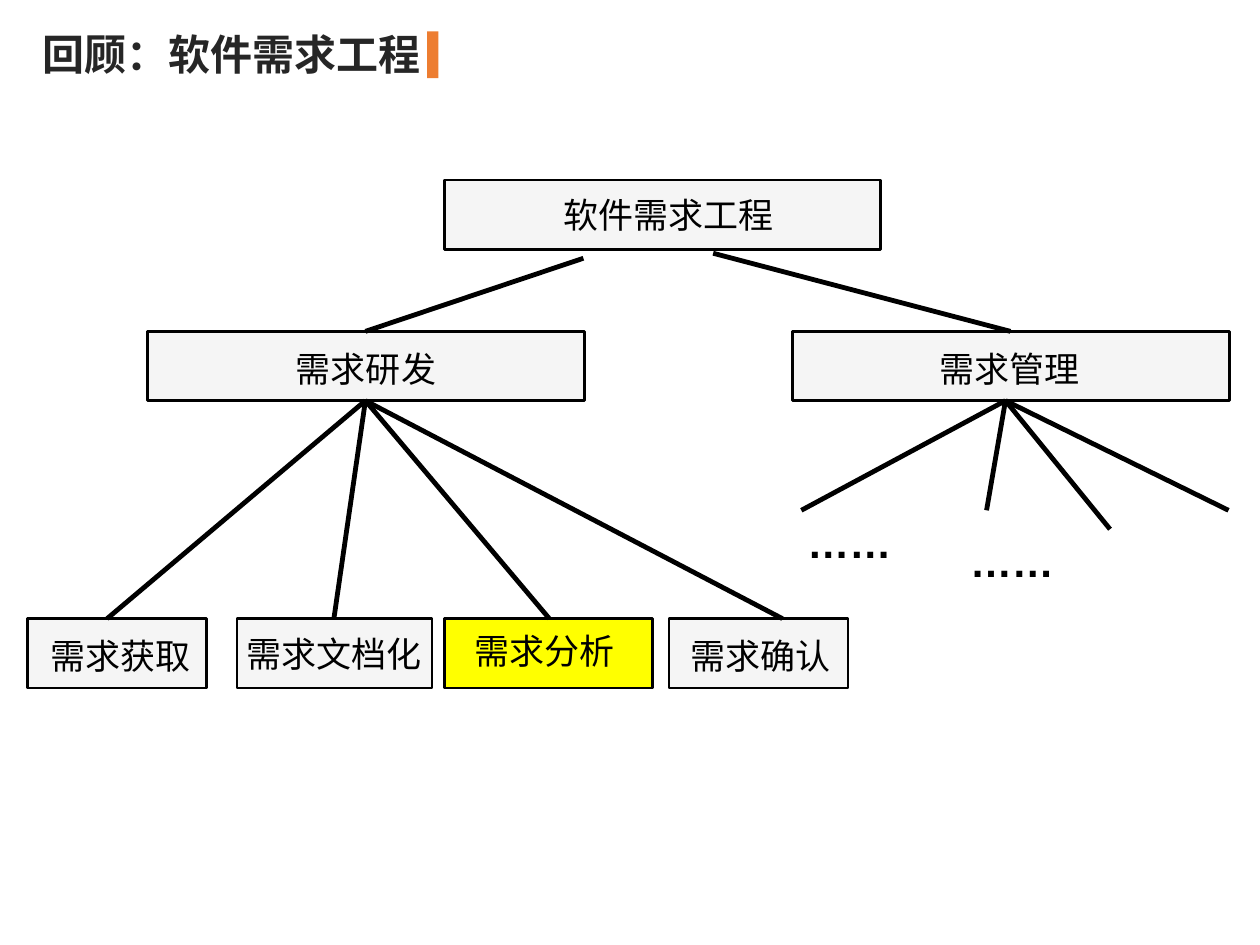
from dataclasses import dataclass

from lxml.etree import SubElement
from pptx import Presentation
from pptx.dml.color import RGBColor
from pptx.enum.shapes import MSO_CONNECTOR as Connector, MSO_SHAPE as Shape
from pptx.enum.text import MSO_AUTO_SIZE as AutoSize, PP_ALIGN as Align
from pptx.oxml.ns import qn
from pptx.util import Inches, Pt


@dataclass(frozen=True)
class Theme:
    ink: str = "000000"
    title: str = "262626"
    accent: str = "ED7D31"
    node: str = "F5F5F5"
    highlight: str = "FFFF00"
    cjk_font: str = "Noto Sans CJK SC"
    latin_font: str = "Arial"
    heading_size: float = 24
    label_size: float = 20
    border: float = 1.5
    branch: float = 2.75


THEME = Theme()
NODE_HEIGHT = 0.55
LABEL_HEIGHT = 0.44
TOP_ROW, MIDDLE_ROW, LEAF_ROW = 1.43, 2.63, 4.91

NODES = [
    ("软件需求工程", (3.53, TOP_ROW, 3.46), (3.65, 1.49, 3.31), Align.CENTER),
    ("需求研发", (1.17, MIDDLE_ROW, 3.47), (1.25, 2.71, 3.31), Align.CENTER),
    ("需求管理", (6.29, MIDDLE_ROW, 3.47), (6.36, 2.71, 3.31), Align.CENTER),
    ("需求获取", (0.22, LEAF_ROW, 1.42), (0.3, 4.99, 1.34), Align.LEFT),
    ("需求文档化", (1.88, LEAF_ROW, 1.55), (1.86, 4.97, 1.65), Align.LEFT),
    ("需求分析", (3.53, LEAF_ROW, 1.65), (3.55, 4.95, 1.55), Align.CENTER),
    ("需求确认", (5.31, LEAF_ROW, 1.42), (5.38, 4.99, 1.34), Align.LEFT),
]
HIGHLIGHTED = "需求分析"

MIDDLE_BOTTOM = MIDDLE_ROW + NODE_HEIGHT
BRANCHES = [
    ((4.63, 2.05), [(2.9, MIDDLE_ROW)]),
    ((5.66, 2.01), [(8.02, MIDDLE_ROW)]),
    ((2.9, MIDDLE_BOTTOM), [(x, LEAF_ROW) for x in (0.85, 2.65, 4.36, 6.21)]),
    ((7.98, MIDDLE_BOTTOM), [(6.36, 4.05), (7.83, 4.05), (8.81, 4.2), (9.75, 4.05)]),
]


def color(value):
    return RGBColor.from_string(value)


def add_block(page, place, fill, border=None):
    block = page.shapes.add_shape(Shape.RECTANGLE, *map(Inches, place))
    block.shadow.inherit = False
    block.fill.solid()
    block.fill.fore_color.rgb = color(fill)
    if border:
        block.line.color.rgb = color(THEME.ink)
        block.line.width = Pt(border)
    else:
        block.line.fill.background()


def add_text(page, place, text, size, font, ink=THEME.ink, bold=False,
             align=Align.LEFT, wrap=True):
    box = page.shapes.add_textbox(*map(Inches, place))
    frame = box.text_frame
    frame.word_wrap = wrap
    frame.auto_size = AutoSize.SHAPE_TO_FIT_TEXT
    para = frame.paragraphs[0]
    para.text = text
    para.alignment = align
    para.font.size = Pt(size)
    para.font.bold = bold
    para.font.color.rgb = color(ink)
    para.font.name = font
    properties = para._p.pPr.find(qn("a:defRPr"))
    SubElement(properties, qn("a:ea")).set("typeface", font)


def add_node(page, text, block, label, align):
    fill = THEME.highlight if text == HIGHLIGHTED else THEME.node
    add_block(page, (*block, NODE_HEIGHT), fill, THEME.border)
    add_text(page, (*label, LABEL_HEIGHT), text, THEME.label_size,
             THEME.cjk_font, align=align)


def add_branch(page, start, end):
    branch = page.shapes.add_connector(Connector.STRAIGHT, *map(Inches, start + end))
    branch.line.color.rgb = color(THEME.ink)
    branch.line.width = Pt(THEME.branch)
    SubElement(branch._element.spPr, qn("a:effectLst"))


def main():
    deck = Presentation()
    deck.slide_width, deck.slide_height = Inches(10), Inches(7.5)
    page = deck.slides.add_slide(deck.slide_layouts[6])

    add_text(page, (0.24, 0.18, 3.23, 0.5), "回顾：软件需求工程", THEME.heading_size,
             THEME.cjk_font, ink=THEME.title, bold=True, wrap=False)
    add_block(page, (3.39, 0.25, 0.09, 0.37), THEME.accent)

    for node in NODES:
        add_node(page, *node)
    for start, ends in BRANCHES:
        for end in ends:
            add_branch(page, start, end)
    for place in ((6.31, 4.05, 0.99, 0.51), (7.6, 4.2, 1.59, 0.51)):
        add_text(page, place, "……", THEME.heading_size, THEME.latin_font, bold=True)

    deck.save("out.pptx")


if __name__ == "__main__":
    main()
